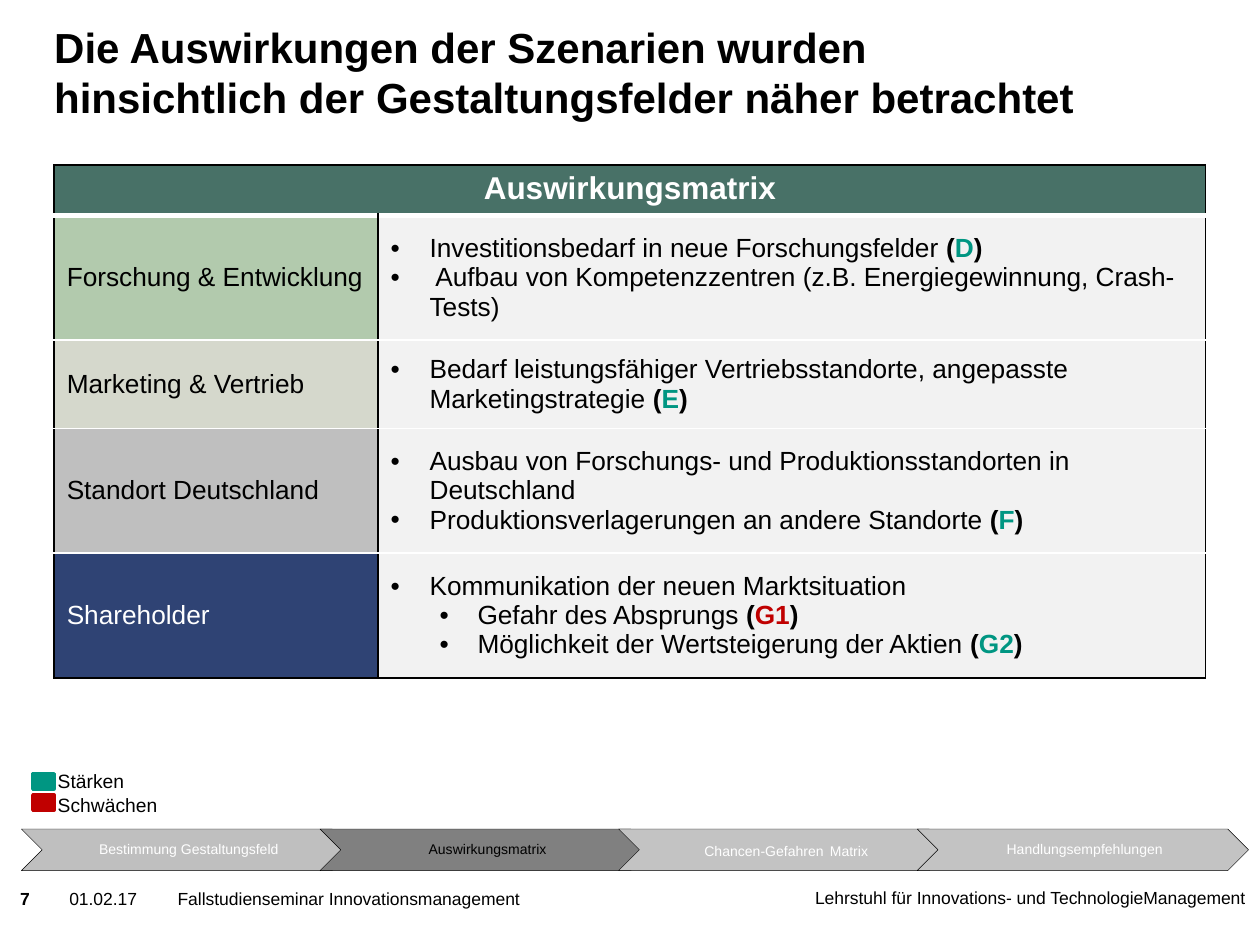
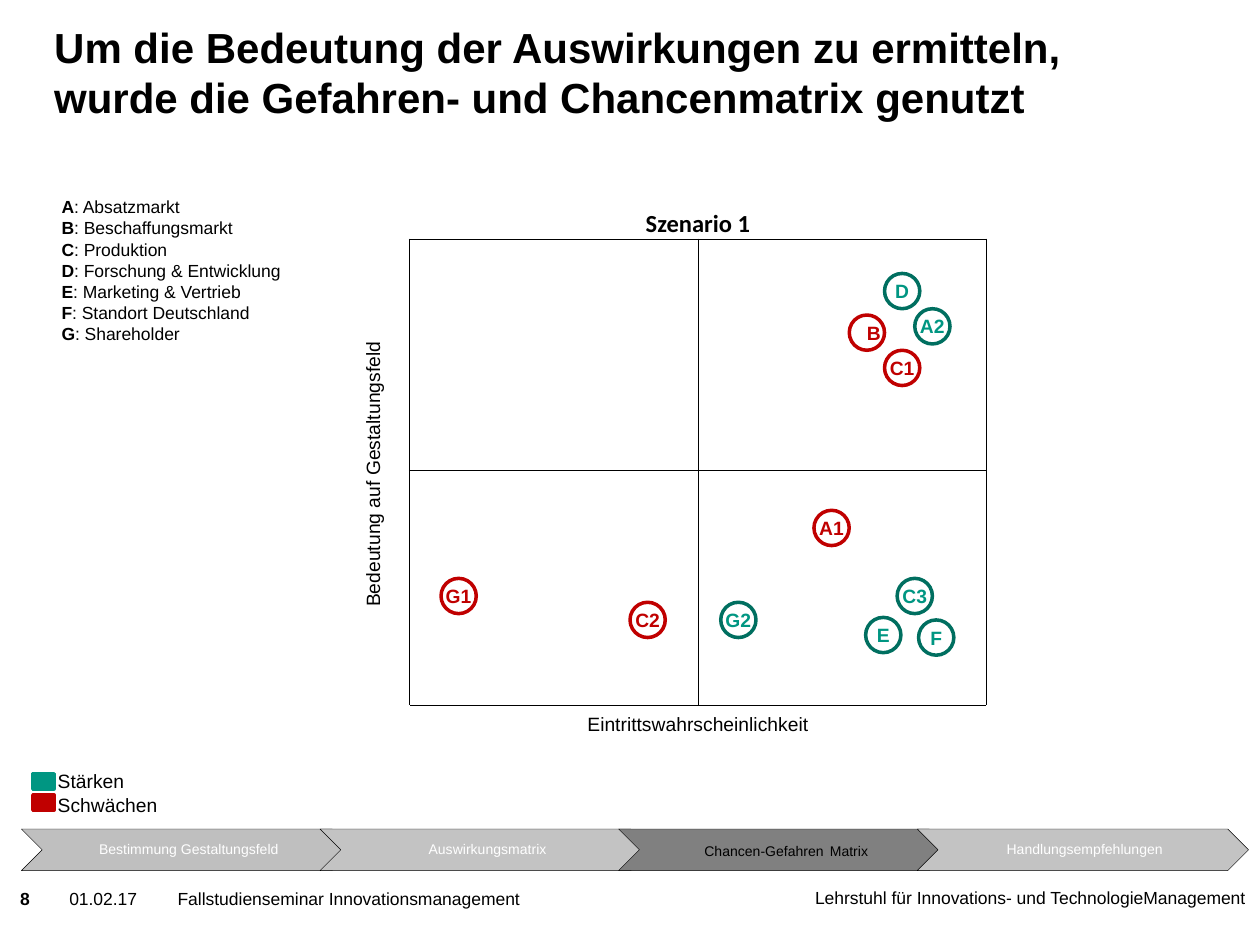
from dataclasses import dataclass

from lxml.etree import SubElement
from pptx import Presentation
from pptx.dml.color import RGBColor
from pptx.enum.shapes import MSO_SHAPE as Preset
from pptx.enum.text import MSO_ANCHOR as Anchor, MSO_AUTO_SIZE as AutoSize, PP_ALIGN as Align
from pptx.oxml.ns import qn
from pptx.util import Inches, Pt


@dataclass(frozen=True)
class Theme:
    font: str = "Arial"
    black: str = "000000"
    white: str = "FFFFFF"
    strength: str = "009682"
    strength_ring: str = "006F60"
    weakness: str = "C00000"
    header: str = "487167"
    effects: str = "F2F2F2"
    step_first: str = "BFBFBF"
    step: str = "C3C3C3"
    step_active: str = "808080"
    title_size: float = 24
    header_size: float = 18
    cell_size: float = 15
    scenario_size: float = 14
    label_size: float = 11
    small_size: float = 10
    step_size: float = 8
    step_gap_size: float = 12


THEME = Theme()

# Content
FOOTER_DATE = "01.02.17"
FOOTER_COURSE = "Fallstudienseminar Innovationsmanagement"
FOOTER_CHAIR = "Lehrstuhl für Innovations- und TechnologieManagement"
STEPS = ["Bestimmung Gestaltungsfeld", "Auswirkungsmatrix",
         "Chancen-Gefahren Matrix", "Handlungsempfehlungen"]
SPACED_STEP = "Chancen-Gefahren Matrix"
LEGEND = [("Stärken", THEME.strength), ("Schwächen", THEME.weakness)]
WEAKNESSES = {"A1", "B", "C1", "C2", "G1"}

EFFECTS_TITLE = "Die Auswirkungen der Szenarien wurden\vhinsichtlich der Gestaltungsfelder näher betrachtet"
EFFECTS_HEADER = "Auswirkungsmatrix"
# field, fill, text colour, row height, effects as (level, text, code)
EFFECTS = [
    ("Forschung & Entwicklung", "B2CAAD", THEME.black, 0.99, [
        (0, "Investitionsbedarf in neue Forschungsfelder ", "D"),
        (0, " Aufbau von Kompetenzzentren (z.B. Energiegewinnung, Crash-Tests)", None)]),
    ("Marketing & Vertrieb", "D5D8CC", THEME.black, 0.7, [
        (0, "Bedarf leistungsfähiger Vertriebsstandorte, angepasste Marketingstrategie ", "E")]),
    ("Standort Deutschland", "BFBFBF", THEME.black, 0.99, [
        (0, "Ausbau von Forschungs- und Produktionsstandorten in Deutschland", None),
        (0, "Produktionsverlagerungen an andere Standorte ", "F")]),
    ("Shareholder", "2F4374", THEME.white, 0.99, [
        (0, "Kommunikation der neuen Marktsituation", None),
        (1, "Gefahr des Absprungs ", "G1"),
        (1, "Möglichkeit der Wertsteigerung der Aktien ", "G2")]),
]
BULLET_INDENTS = [(0.31, -0.31), (0.69, -0.3)]

MATRIX_TITLE = "Um die Bedeutung der Auswirkungen zu ermitteln, wurde die Gefahren- und Chancenmatrix genutzt"
SCENARIO = "Szenario 1"
AXIS_X = "Eintrittswahrscheinlichkeit"
AXIS_Y = "Bedeutung auf Gestaltungsfeld"
FIELDS = {"A": "Absatzmarkt", "B": "Beschaffungsmarkt", "C": "Produktion",
          "D": "Forschung & Entwicklung", "E": "Marketing & Vertrieb",
          "F": "Standort Deutschland", "G": "Shareholder"}
MARKERS = {"C3": (7.12, 4.59), "C2": (5, 4.78), "B": (6.74, 2.5), "D": (7.02, 2.17),
           "C1": (7.02, 2.78), "E": (6.87, 4.9), "F": (7.29, 4.92), "G1": (3.5, 4.59),
           "G2": (5.72, 4.78), "A2": (7.26, 2.45), "A1": (6.46, 4.05)}
MARKER_SIZE = 0.28


def rgb(value):
    return RGBColor.from_string(value)


def set_all(target, values):
    for name, value in values.items():
        setattr(target, name, value)


def add_run(paragraph, text, size, color=THEME.black, bold=False, font=THEME.font):
    run = paragraph.add_run()
    run.text = text
    set_all(run.font, {"name": font, "size": Pt(size), "bold": bold})
    run.font.color.rgb = rgb(color)


def set_margins(target, left, top, right, bottom):
    for side, value in zip(("left", "top", "right", "bottom"), (left, top, right, bottom)):
        setattr(target, f"margin_{side}", Inches(value))


def code_color(code):
    return THEME.weakness if code in WEAKNESSES else THEME.strength


def add_text_frame(slide, box, margins=None, **frame_format):
    shape = slide.shapes.add_textbox(*map(Inches, box))
    frame = shape.text_frame
    set_all(frame, {"word_wrap": True} | frame_format)
    if margins:
        set_margins(frame, *margins)
    return shape, frame


def add_fitted_lines(slide, box, lines):
    """Add an unwrapped box; each line is a list of run arguments."""
    shape, frame = add_text_frame(slide, box, word_wrap=False,
                                  auto_size=AutoSize.SHAPE_TO_FIT_TEXT)
    for index, runs in enumerate(lines):
        paragraph = frame.add_paragraph() if index else frame.paragraphs[0]
        for run in runs:
            add_run(paragraph, *run)
    return shape


def add_preset(slide, preset, box, fill, line, width):
    shape = slide.shapes.add_shape(preset, *map(Inches, box))
    shape.shadow.inherit = False
    if fill:
        shape.fill.solid()
        shape.fill.fore_color.rgb = rgb(fill)
    else:
        shape.fill.background()
    shape.line.color.rgb = rgb(line)
    shape.line.width = Pt(width)
    return shape


def style_cell(cell, fill=None, **borders):
    """Set cell borders, given as L, R, T, B = (colour, points), then the fill."""
    properties = cell._tc.get_or_add_tcPr()
    for side in "LRTB":
        if side in borders:
            color, width = borders[side]
            line = SubElement(properties, qn(f"a:ln{side}"), w=str(Pt(width)))
            SubElement(SubElement(line, qn("a:solidFill")), qn("a:srgbClr"), val=color)
    if fill:
        cell.fill.solid()
        cell.fill.fore_color.rgb = rgb(fill)
    else:
        cell.fill.background()


def add_grid(slide, left, top, widths, heights):
    frame = slide.shapes.add_table(len(heights), len(widths), Inches(left), Inches(top),
                                   Inches(sum(widths)), Inches(sum(heights)))
    table = frame.table
    set_all(table, {"first_row": False, "horz_banding": False})
    for column, width in zip(table.columns, widths):
        column.width = Inches(width)
    for row, height in zip(table.rows, heights):
        row.height = Inches(height)
    return table


def set_bullet(paragraph, level):
    margin, indent = BULLET_INDENTS[level]
    properties = paragraph._p.get_or_add_pPr()
    properties.set("marL", str(Inches(margin)))
    properties.set("indent", str(Inches(indent)))
    SubElement(properties, qn("a:buFont"), typeface=THEME.font)
    SubElement(properties, qn("a:buChar"), char="•")


def add_footer(slide, number):
    parts = [((6.4, 7.04, 3.48, 0.39), FOOTER_CHAIR, Align.RIGHT, False),
             ((0.16, 7.05, 0.36, 0.24), str(number), Align.LEFT, True),
             ((0.55, 7.05, 0.94, 0.39), FOOTER_DATE, Align.LEFT, False),
             ((1.41, 7.05, 4.97, 0.39), FOOTER_COURSE, Align.LEFT, False)]
    for box, text, align, bold in parts:
        _, frame = add_text_frame(slide, box, (0, 0, 0, 0))
        frame.paragraphs[0].alignment = align
        add_run(frame.paragraphs[0], text, THEME.small_size, bold=bold)


def add_steps(slide, active):
    left, top, width, height, pitch = 0.17, 6.58, 2.63, 0.33, 2.37
    for index, step in enumerate(STEPS):
        x = left + index * pitch
        is_active = step == active
        fill = THEME.step_active if is_active else THEME.step if index else THEME.step_first
        add_preset(slide, Preset.CHEVRON, (x, top, width, height), fill, THEME.black, 0.25)
        _, frame = add_text_frame(slide, (x + height / 2, top, width - height, height),
                                  (0.04, 0.01, 0.01, 0.01), vertical_anchor=Anchor.MIDDLE)
        label = frame.paragraphs[0]
        set_all(label, {"alignment": Align.CENTER, "line_spacing": 0.9, "space_after": Pt(2.8)})
        color = THEME.black if is_active else THEME.white
        if step == SPACED_STEP:
            for part in step.partition(" "):
                size = THEME.step_gap_size if part == " " else THEME.step_size
                add_run(label, part, size, color)
        else:
            add_run(label, step, THEME.step_size, color)


def add_legend(slide):
    add_fitted_lines(slide, (0.36, 6.06, 1, 0.47),
                     [[(name, THEME.label_size)] for name, _ in LEGEND])
    for index, (_, color) in enumerate(LEGEND):
        add_preset(slide, Preset.RECTANGLE, (0.26, 6.14 + index * 0.17, 0.17, 0.12),
                   color, color, 2)


def add_slide(deck, number, heading, heading_width, active_step):
    slide = deck.slides.add_slide(deck.slide_layouts[5])
    title = slide.shapes.title
    box = dict(zip(("left", "top", "width", "height"),
                   map(Inches, (0.43, 0.36, heading_width, 0.61))))
    set_all(title, box)
    frame = title.text_frame
    set_all(frame, {"auto_size": AutoSize.NONE, "word_wrap": True,
                    "vertical_anchor": Anchor.BOTTOM})
    set_margins(frame, 0, 0, 0, 0)
    frame.text = heading
    paragraph = frame.paragraphs[0]
    paragraph.alignment = Align.LEFT
    for run in paragraph.runs:
        set_all(run.font, {"name": THEME.font, "size": Pt(THEME.title_size), "bold": True})
        run.font.color.rgb = rgb(THEME.black)
    add_footer(slide, number)
    add_steps(slide, active_step)
    add_legend(slide)
    return slide


def add_effects_table(slide):
    black, white = (THEME.black, 1), (THEME.white, 1)
    heights = [0.38] + [height for _, _, _, height, _ in EFFECTS]
    table = add_grid(slide, 0.43, 1.31, [2.57, 6.57], heights)
    for column in range(2):
        style_cell(table.cell(0, column), THEME.header,
                   L=black, R=black, T=black, B=(THEME.white, 3))
    header = table.cell(0, 0)
    header.merge(table.cell(0, 1))
    paragraph = header.text_frame.paragraphs[0]
    paragraph.alignment = Align.CENTER
    add_run(paragraph, EFFECTS_HEADER, THEME.header_size, THEME.white, True)

    for row, (field, fill, color, _, effects) in enumerate(EFFECTS, 1):
        top = (THEME.white, 3) if row == 1 else white
        bottom = black if row == len(EFFECTS) else white
        field_cell, effects_cell = table.cell(row, 0), table.cell(row, 1)
        for cell, cell_fill in ((field_cell, fill), (effects_cell, THEME.effects)):
            style_cell(cell, cell_fill, L=black, R=black, T=top, B=bottom)
            cell.vertical_anchor = Anchor.MIDDLE
        add_run(field_cell.text_frame.paragraphs[0], field, THEME.cell_size, color)
        frame = effects_cell.text_frame
        for index, (level, text, code) in enumerate(effects):
            paragraph = frame.add_paragraph() if index else frame.paragraphs[0]
            set_bullet(paragraph, level)
            add_run(paragraph, text, THEME.cell_size)
            if code:
                for part, tint in (("(", THEME.black), (code, code_color(code)), (")", THEME.black)):
                    add_run(paragraph, part, THEME.cell_size, tint, True)


def add_matrix_grid(slide):
    outer, inner = (THEME.black, 1), (THEME.black, 0.5)
    table = add_grid(slide, 1, 1.58, [2.25, 2.29, 2.29], [0.32, 1.83, 1.87, 0.24])
    borders = {(1, 0): {"R": outer}, (2, 0): {"R": outer}}
    for column in (1, 2):
        borders[0, column] = {"B": outer}
        borders[3, column] = {"T": outer}
        for row in (1, 2):
            borders[row, column] = {"L": outer if column == 1 else inner,
                                    "R": inner if column == 1 else outer,
                                    "T": outer if row == 1 else inner,
                                    "B": inner if row == 1 else outer}
    labels = {(0, 1): (SCENARIO, THEME.scenario_size, THEME.black, True, "Calibri"),
              (3, 1): (AXIS_X, THEME.label_size)}
    for row in range(4):
        for column in range(3):
            cell = table.cell(row, column)
            style_cell(cell, **borders.get((row, column), {}))
            set_margins(cell, 0, 0, 0, 0)
            cell.vertical_anchor = Anchor.BOTTOM
            paragraph = cell.text_frame.paragraphs[0]
            if (row, column) in labels:
                paragraph.alignment = Align.CENTER
                add_run(paragraph, *labels[row, column])
            else:
                SubElement(paragraph._p, qn("a:endParaRPr"), sz=str(THEME.label_size * 100))
    for first, last in (((0, 1), (0, 2)), ((1, 0), (2, 0)), ((3, 1), (3, 2))):
        table.cell(*first).merge(table.cell(*last))


def add_markers(slide):
    for code, (left, top) in MARKERS.items():
        ring = THEME.weakness if code in WEAKNESSES else THEME.strength_ring
        marker = add_preset(slide, Preset.OVAL, (left, top, MARKER_SIZE, MARKER_SIZE), None, ring, 2)
        frame = marker.text_frame
        set_all(frame, {"word_wrap": code == "B", "vertical_anchor": Anchor.MIDDLE})
        frame.paragraphs[0].alignment = Align.CENTER
        add_run(frame.paragraphs[0], code, THEME.label_size, code_color(code), True)


def main():
    deck = Presentation()
    set_all(deck, {"slide_width": Inches(10), "slide_height": Inches(7.5)})

    effects = add_slide(deck, 7, EFFECTS_TITLE, 9.13, "Auswirkungsmatrix")
    add_effects_table(effects)

    matrix = add_slide(deck, 8, MATRIX_TITLE, 8.91, SPACED_STEP)
    add_matrix_grid(matrix)
    add_markers(matrix)
    axis = add_fitted_lines(matrix, (1.8, 3.61, 2.32, 0.29), [[(AXIS_Y, THEME.label_size)]])
    axis.rotation = 270
    add_fitted_lines(matrix, (0.39, 1.51, 1.96, 1.28),
                     [[(code, THEME.small_size, THEME.black, True),
                       (f": {field}", THEME.small_size)] for code, field in FIELDS.items()])
    deck.save("out.pptx")


if __name__ == "__main__":
    main()
